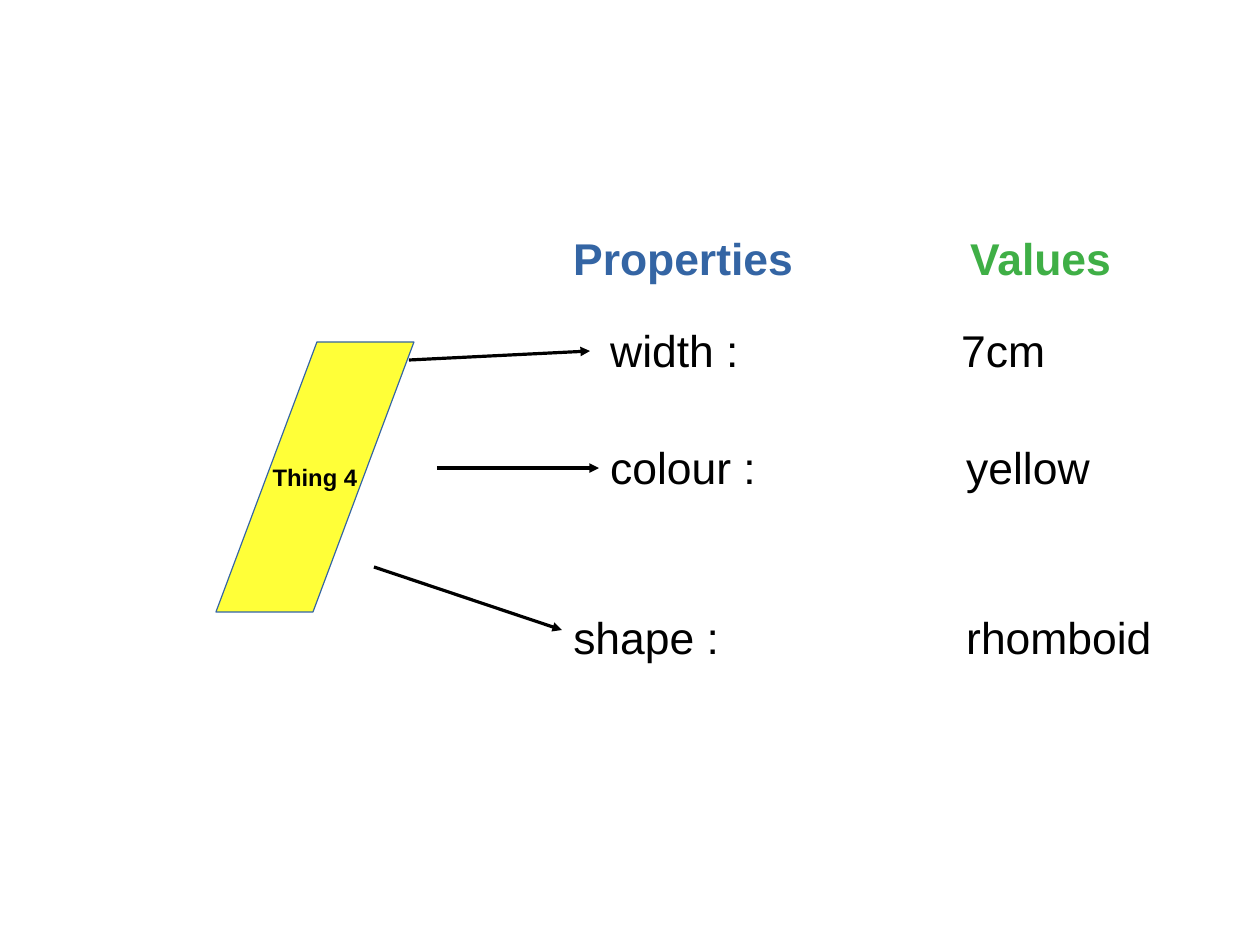
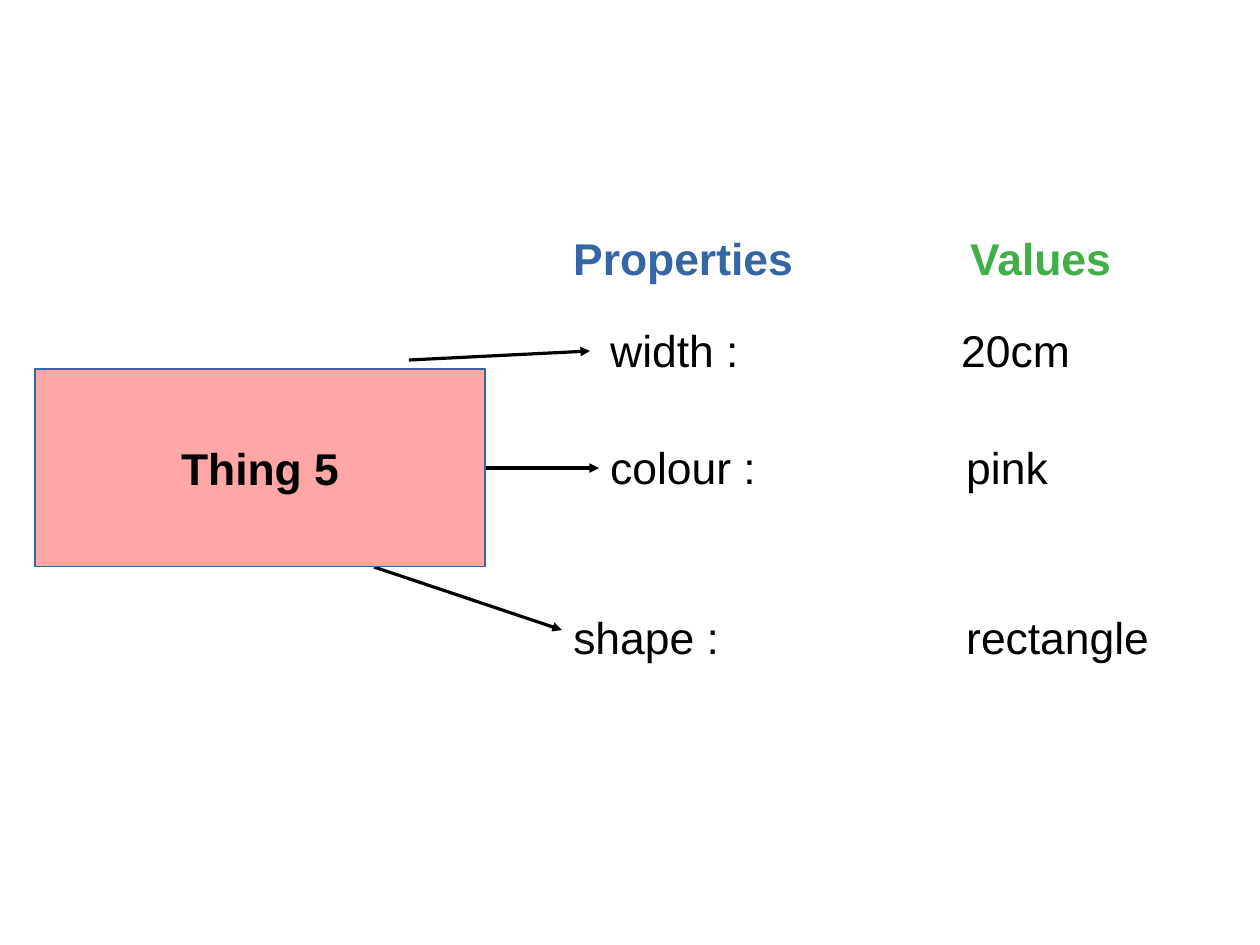
import pptx
import pptx.util
import pptx.dml.color
import pptx.enum.shapes
import pptx.enum.text
import pptx.oxml.ns
import lxml.etree

RGB = pptx.dml.color.RGBColor
SHAPES = pptx.enum.shapes.MSO_SHAPE
BLACK = RGB(0x00, 0x00, 0x00)
BLUE = RGB(0x34, 0x65, 0xA4)
GREEN = RGB(0x3F, 0xAF, 0x46)
YELLOW = RGB(0xFF, 0xFF, 0x38)
PINK = RGB(0xFF, 0xA6, 0xA6)
WHITE = RGB(0xFF, 0xFF, 0xFF)

EMU_PER_PX = 8000
SLIDE_SIZE = (1260, 945)
BLANK_LAYOUT = 6

HEADINGS = [
    ("Properties", (562, 225, 251, 70), BLUE),
    ("Values", (959, 225, 251, 70), GREEN),
]
PROPERTIES = [
    {"name": "width :", "box": (599, 317, 570, 70), "tab": 351,
     "arrow": (409, 360, 590, 351)},
    {"name": "colour :", "box": (599, 434, 598, 61), "tab": 356,
     "arrow": (437, 468, 599, 468)},
    {"name": "shape :", "box": (562, 604, 688, 72), "tab": 393,
     "arrow": (374, 567, 562, 630)},
]
THINGS = [
    {"label": "Thing 4", "values": ("7cm", "yellow", "rhomboid"),
     "preset": SHAPES.PARALLELOGRAM, "adjustments": (0.51,),
     "box": (216, 342, 198, 270), "fill": YELLOW, "size": 15},
    {"label": "Thing 5", "values": ("20cm", "pink", "rectangle"),
     "preset": SHAPES.RECTANGLE, "adjustments": (),
     "box": (35, 369, 450, 198), "fill": PINK, "size": 28},
]


def px(*lengths):
    return [pptx.util.Emu(length * EMU_PER_PX) for length in lengths]


def add_element(parent, tag, **attributes):
    return lxml.etree.SubElement(parent, pptx.oxml.ns.qn(tag), attributes)


def write(shape, text, color=BLACK, size=28, bold=False):
    para = shape.text_frame.paragraphs[0]
    span = para.add_run()
    span.text = text
    font_format = {"name": "Arial", "size": pptx.util.Pt(size), "bold": bold}
    for name, value in font_format.items():
        setattr(span.font, name, value)
    span.font.color.rgb = color
    return para


def add_text(page, text, place, **style):
    box = page.shapes.add_textbox(*px(*place))
    box.text_frame.word_wrap = True
    return write(box, text, **style)


def add_property(page, entry, value):
    para = add_text(page, f"{entry['name']}\t{value}", entry["box"])
    tabs = add_element(para._p.get_or_add_pPr(), "a:tabLst")
    add_element(tabs, "a:tab", pos=str(px(entry["tab"])[0]), algn="l")


def set_line(shape, color):
    shape.line.color.rgb = color
    shape.line.width = pptx.util.Pt(0)


def add_arrow(page, ends):
    arrow = page.shapes.add_connector(
        pptx.enum.shapes.MSO_CONNECTOR.STRAIGHT, *px(*ends))
    set_line(arrow, BLACK)
    add_element(arrow.line._get_or_add_ln(), "a:tailEnd", type="triangle")
    add_element(arrow._element.spPr, "a:effectLst")


def add_thing(page, thing):
    shape = page.shapes.add_shape(thing["preset"], *px(*thing["box"]))
    for index, adjustment in enumerate(thing["adjustments"]):
        shape.adjustments[index] = adjustment
    shape.shadow.inherit = False
    shape.fill.solid()
    shape.fill.fore_color.rgb = thing["fill"]
    set_line(shape, BLUE)
    frame_format = {
        "word_wrap": False,
        "vertical_anchor": pptx.enum.text.MSO_ANCHOR.MIDDLE,
    }
    for name, value in frame_format.items():
        setattr(shape.text_frame, name, value)
    para = write(shape, thing["label"], size=thing["size"], bold=True)
    para.alignment = pptx.enum.text.PP_ALIGN.CENTER


def build_page(deck, thing):
    page = deck.slides.add_slide(deck.slide_layouts[BLANK_LAYOUT])
    for entry in PROPERTIES:
        add_arrow(page, entry["arrow"])
    for entry, value in zip(PROPERTIES, thing["values"]):
        add_property(page, entry, value)
    for text, place, color in HEADINGS:
        add_text(page, text, place, color=color, bold=True)
    add_thing(page, thing)


def main():
    deck = pptx.Presentation()
    deck.slide_width, deck.slide_height = px(*SLIDE_SIZE)
    background = deck.slide_master.background.fill
    background.solid()
    background.fore_color.rgb = WHITE
    for thing in THINGS:
        build_page(deck, thing)
    deck.save("out.pptx")


if __name__ == "__main__":
    main()
